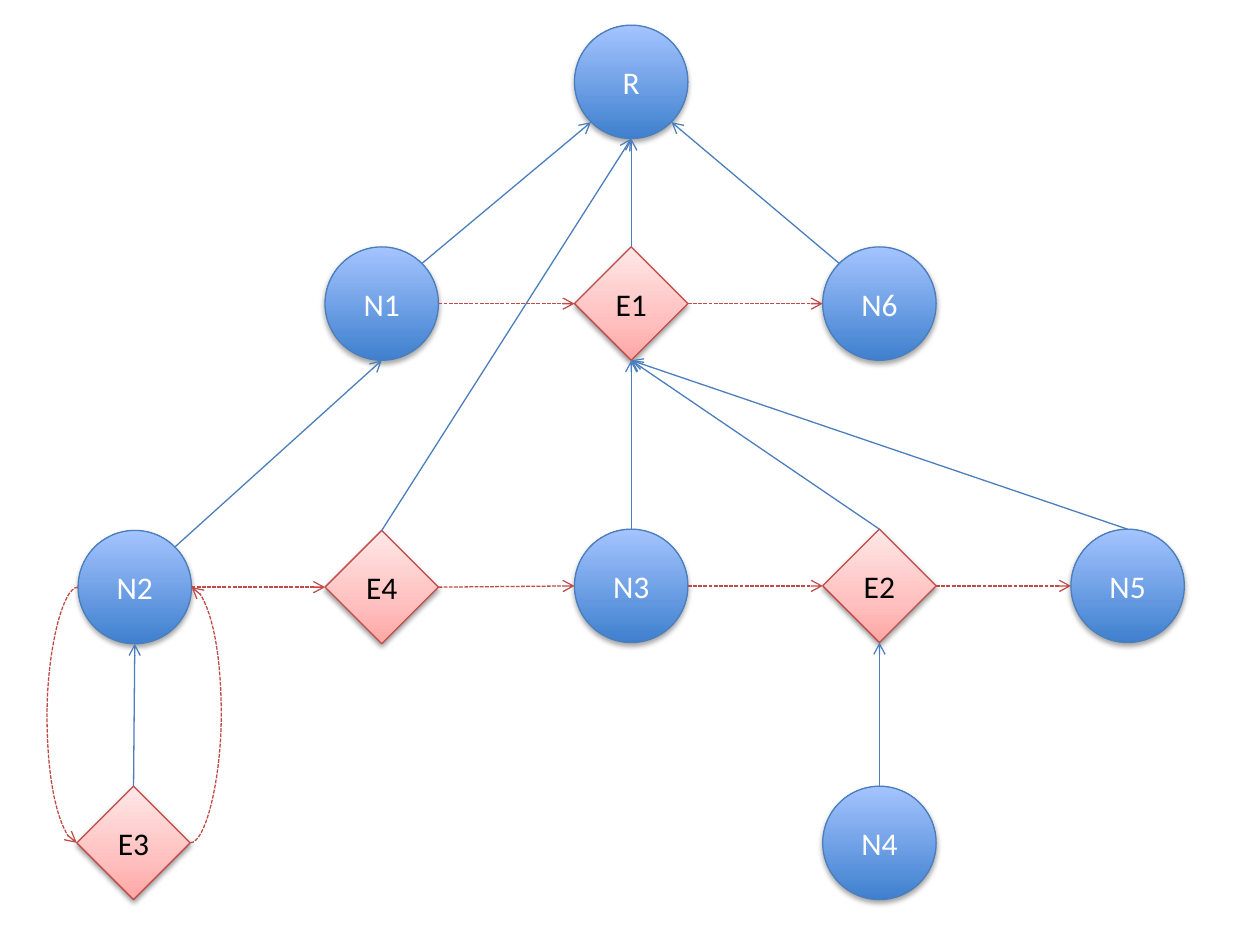
import pptx
import pptx.util
import pptx.dml.color
import pptx.enum.dml
import pptx.enum.shapes
import pptx.enum.text
import pptx.oxml
import pptx.oxml.ns

Inches, Pt = pptx.util.Inches, pptx.util.Pt
RGBColor = pptx.dml.color.RGBColor
SHAPE = pptx.enum.shapes.MSO_SHAPE
WIRE = pptx.enum.shapes.MSO_CONNECTOR
qn = pptx.oxml.ns.qn
NS = 'xmlns:a="http://schemas.openxmlformats.org/drawingml/2006/main"'

BLUE = RGBColor(0x4B, 0x7E, 0xBC)
RED = RGBColor(0xBF, 0x4C, 0x48)
WHITE = RGBColor(0xFF, 0xFF, 0xFF)
BLACK = RGBColor(0, 0, 0)
DEEP, PALE = RGBColor(0x3F, 0x80, 0xCE), RGBColor(0xA4, 0xC4, 0xFF)
ROSE, PINK, BLUSH = (RGBColor(0xFF, 0xA6, 0xA5), RGBColor(0xFF, 0xC0, 0xBF),
                     RGBColor(0xFF, 0xE7, 0xE7))
SIZE = 0.9
HALF = SIZE / 2
DIAG = HALF * 0.71

# kind: preset, gradient stops, line, text colour, shadow opacity, shadow distance
KINDS = {
    "node": (SHAPE.OVAL, [(0, DEEP), (100, PALE)], BLUE, WHITE, 35, 1.8),
    "edge": (SHAPE.DIAMOND, [(0, ROSE), (35, PINK), (100, BLUSH)], RED, BLACK, 38, 1.6),
}
# name: left, top
SPOTS = {
    "R": (4.56, 0.2),
    "N1": (2.58, 1.96), "E1": (4.56, 1.96), "N6": (6.53, 1.96),
    "N2": (0.62, 4.21), "E4": (2.58, 4.21), "N3": (4.56, 4.2),
    "E2": (6.53, 4.2), "N5": (8.5, 4.2),
    "E3": (0.61, 6.24), "N4": (6.53, 6.24),
}
# side: offset from the centre
SIDES = {
    "top": (0, -HALF), "low": (0, HALF), "left": (-HALF, 0), "right": (HALF, 0),
    "ne": (DIAG, -DIAG), "nw": (-DIAG, -DIAG), "se": (DIAG, DIAG), "sw": (-DIAG, DIAG),
}
# child, side, parent, side
TREE = [
    ("N6", "nw", "R", "se"), ("E1", "top", "R", "low"), ("N1", "ne", "R", "sw"),
    ("N5", "top", "E1", "low"), ("E2", "top", "E1", "low"), ("E4", "top", "R", "low"),
    ("N2", "ne", "N1", "low"), ("E3", "top", "N2", "low"), ("N3", "top", "E1", "low"),
    ("N4", "top", "E2", "low"),
]
ROWS = [("N1", "E1", "N6"), ("N2", "E4", "N3", "E2", "N5")]
LOOPS = [("N2", "left", "E3", "left"), ("E3", "right", "N2", "right")]


def write(shape, text, size=18, font="Calibri", color=WHITE):
    """Put centred text in a shape."""
    frame = shape.text_frame
    frame.word_wrap = False
    frame.vertical_anchor = pptx.enum.text.MSO_ANCHOR.MIDDLE
    para = frame.paragraphs[0]
    para.alignment = pptx.enum.text.PP_ALIGN.CENTER
    run = para.add_run()
    run.text = text
    run.font.size, run.font.name = Pt(size), font
    run.font.color.rgb = color


def link(start, side, end, face, color=BLUE, kind=WIRE.STRAIGHT):
    """Draw an arrow between sides of two named shapes."""
    ends = []
    for name, edge in ((start, side), (end, face)):
        for base, shift in zip(SPOTS[name], SIDES[edge]):
            ends.append(Inches(base + HALF + shift))
    wire = slide.shapes.add_connector(kind, *ends)
    wire.line.color.rgb = color
    wire.line.width = Pt(0.75)
    if color == RED:
        wire.line.dash_style = pptx.enum.dml.MSO_LINE.SQUARE_DOT
    props = wire._element.spPr
    props.find(qn("a:ln")).append(pptx.oxml.parse_xml(f'<a:tailEnd {NS} type="arrow"/>'))
    props.append(pptx.oxml.parse_xml(f"<a:effectLst {NS}/>"))
    return wire


deck = pptx.Presentation()
deck.slide_width, deck.slide_height = Inches(10), Inches(7.5)
slide = deck.slides.add_slide(deck.slide_layouts[6])

for name, (left, top) in SPOTS.items():
    kind = "edge" if name.startswith("E") else "node"
    preset, stops, edge, ink, alpha, drop = KINDS[kind]
    shape = slide.shapes.add_shape(preset, Inches(left), Inches(top),
                                   Inches(SIZE), Inches(SIZE))
    shape.fill.gradient()
    shape.fill.gradient_angle = 90
    props = shape._element.spPr
    ramp = props.find(qn("a:gradFill")).find(qn("a:gsLst"))
    ramp.clear()
    for place, color in stops:
        ramp.append(pptx.oxml.parse_xml(
            f'<a:gs {NS} pos="{place * 1000}"><a:srgbClr val="{color}"/></a:gs>'))
    shape.line.color.rgb = edge
    shape.line.width = Pt(0.75)
    shape.shadow.inherit = False
    props.find(qn("a:effectLst")).append(pptx.oxml.parse_xml(
        f'<a:outerShdw {NS} blurRad="{Pt(3.1)}" dist="{Pt(drop)}" dir="5400000" '
        f'rotWithShape="0"><a:srgbClr val="000000"><a:alpha val="{alpha * 1000}"/>'
        '</a:srgbClr></a:outerShdw>'))
    write(shape, name, color=ink)

for ends in TREE:
    link(*ends)
for row in ROWS:
    for start, end in zip(row, row[1:]):
        link(start, "right", end, "left", color=RED)
for ends in LOOPS:
    wire = link(*ends, color=RED, kind=WIRE.CURVE)
    bend = round(Inches(0.25) / wire.width * 100000)
    guides = wire._element.spPr.find(qn("a:prstGeom")).get_or_add_avLst()
    guides.append(pptx.oxml.parse_xml(f'<a:gd {NS} name="adj1" fmla="val {bend}"/>'))

deck.save("out.pptx")
